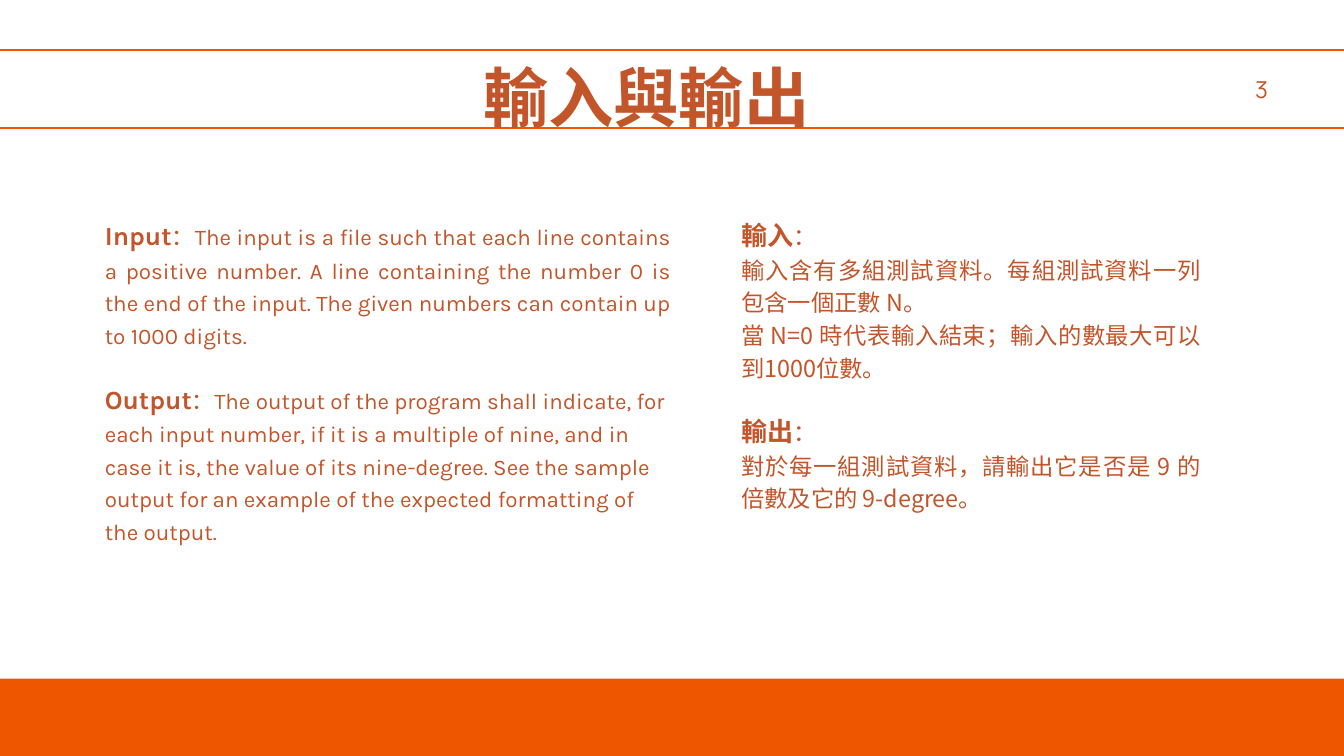
from lxml import etree
from pptx import Presentation
from pptx import util as u
from pptx.dml.color import RGBColor
from pptx.enum import shapes, text
from pptx.oxml.ns import qn

ORANGE = RGBColor(0xEF, 0x56, 0x00)
RUST = RGBColor(0xC3, 0x55, 0x2B)
CJK = "Noto Sans CJK SC"
LATIN = "Karla"
HEADING_SIZE = 28
LINE = 35
LEFT, CENTER, RIGHT, JUSTIFY = (text.PP_ALIGN.LEFT, text.PP_ALIGN.CENTER,
                                text.PP_ALIGN.RIGHT, text.PP_ALIGN.JUSTIFY)

INPUT_EN = ("：The input is a file such that each line contains a positive number. "
            "A line containing the number 0 is the end of the input. "
            "The given numbers can contain up to 1000 digits.")
OUTPUT_EN = ("：The output of the program shall indicate, for each input number, "
             "if it is a multiple of nine, and in case it is, the value of its "
             "nine-degree. See the sample output for an example of the expected "
             "formatting of the output.")


def add_band(slide, left, top, width, height):
    band = slide.shapes.add_shape(shapes.MSO_SHAPE.RECTANGLE, u.Pt(left), u.Pt(top),
                                  u.Pt(width), u.Pt(height))
    band.shadow.inherit = False
    return band


def add_text_frame(slide, left, top, width, height):
    box = slide.shapes.add_textbox(u.Pt(left), u.Pt(top), u.Pt(width), u.Pt(height))
    frame = box.text_frame
    frame.word_wrap = True
    frame.auto_size = text.MSO_AUTO_SIZE.SHAPE_TO_FIT_TEXT
    frame.margin_left = frame.margin_right = frame.margin_top = frame.margin_bottom = 0
    return frame


def style_paragraph(paragraph, face, size, align, line=LINE):
    paragraph.alignment = align
    paragraph.line_spacing = u.Pt(line)
    font = paragraph.font
    font.name = face
    font.size = u.Pt(size)
    font.color.rgb = RUST
    # East Asian characters take their typeface from a separate element.
    latin = paragraph._p.pPr.find(qn("a:defRPr")).find(qn("a:latin"))
    east_asian = etree.Element(qn("a:ea"), typeface=face)
    latin.addnext(east_asian)


def add_label(slide, area, wording, face, size, align, line=LINE, bold=False):
    """Add a text box that holds a single line."""
    paragraph = add_text_frame(slide, *area).paragraphs[0]
    paragraph.add_run().text = wording
    style_paragraph(paragraph, face, size, align, line)
    paragraph.font.bold = bold


def add_column(slide, area, entries, face, size):
    """Add a column of (heading, body, alignment) paragraphs; a heading may be empty."""
    frame = add_text_frame(slide, *area)
    for index, (heading, body, align) in enumerate(entries):
        paragraph = frame.add_paragraph() if index else frame.paragraphs[0]
        if heading:
            lead = paragraph.add_run()
            lead.text = heading
            lead.font.size = u.Pt(HEADING_SIZE)
            lead.font.bold = True
        paragraph.add_run().text = body
        style_paragraph(paragraph, face, size, align)
        if heading and index:
            paragraph.space_before = u.Pt(LINE)


def main():
    deck = Presentation()
    deck.slide_width, deck.slide_height = u.Pt(1440), u.Pt(810)
    slide = deck.slides.add_slide(deck.slide_layouts[6])

    title_band = add_band(slide, -126.7, 54, 1638.7, 83.2)
    title_band.fill.background()
    title_band.line.color.rgb = ORANGE
    title_band.line.width = u.Pt(2.25)

    add_label(slide, (494.6, 46.8, 396, 90.7), "輸入與輸出", CJK, 70, CENTER, 98, True)

    add_column(slide, (112.3, 234, 606.2, 350.6), [
        ("Input", INPUT_EN, JUSTIFY),
        ("Output", OUTPUT_EN, LEFT),
    ], LATIN, 24)
    add_column(slide, (794.2, 234, 492.5, 315.4), [
        ("輸入", "：", JUSTIFY),
        ("", "輸入含有多組測試資料。每組測試資料一列包含一個正數 N。", JUSTIFY),
        ("", "當 N=0 時代表輸入結束；輸入的數最大可以到1000位數。", JUSTIFY),
        ("輸出", "：", JUSTIFY),
        ("", "對於每一組測試資料，請輸出它是否是 9 的倍數及它的 9-degree。", JUSTIFY),
    ], CJK, 25)

    add_label(slide, (1285.9, 75.6, 72.7, 33.1), "3", "Manrope", 25, RIGHT)

    footer = add_band(slide, -73.4, 727.2, 1638.7, 135.4)
    footer.fill.solid()
    footer.fill.fore_color.rgb = ORANGE
    footer.line.fill.background()

    deck.save("out.pptx")


if __name__ == "__main__":
    main()
